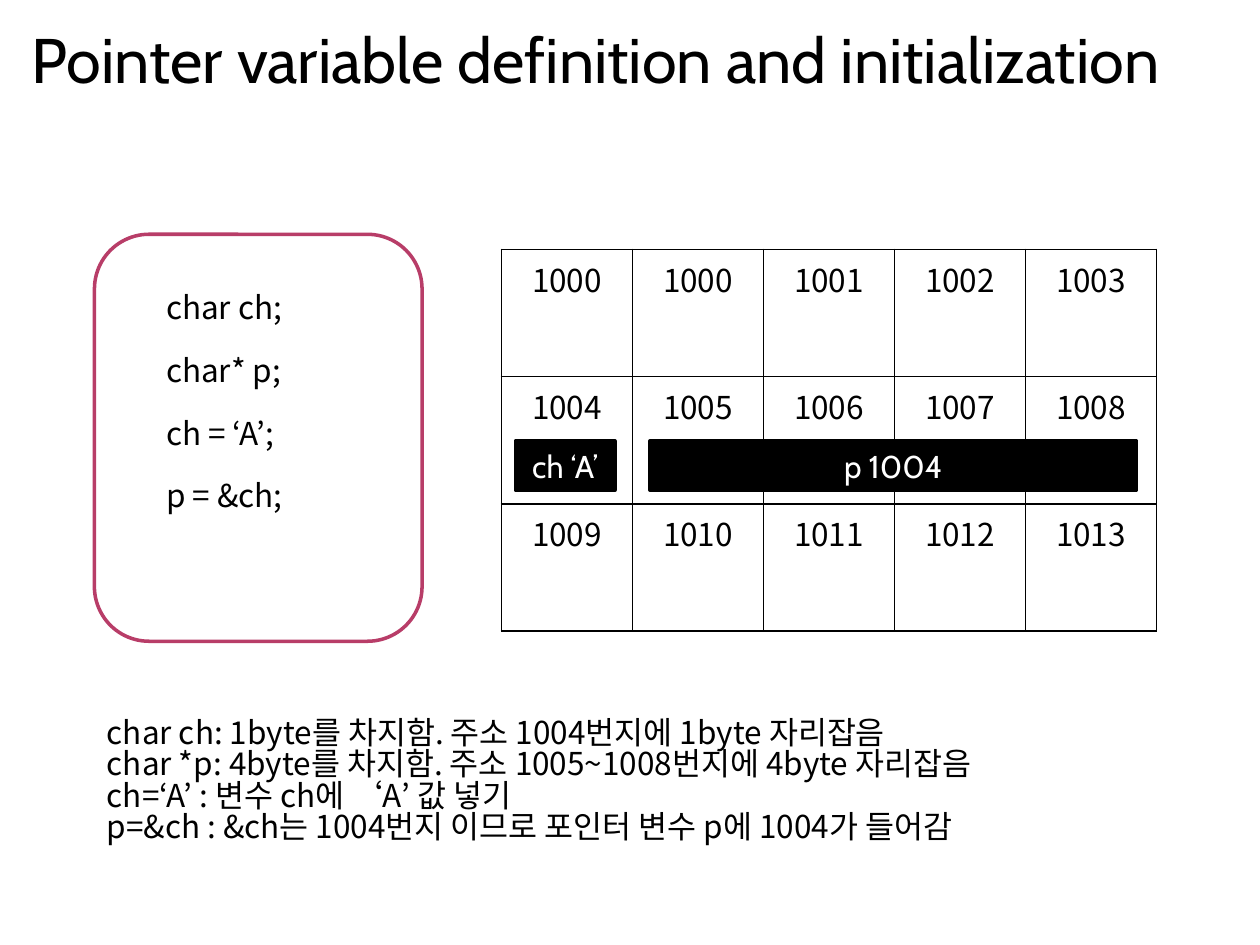
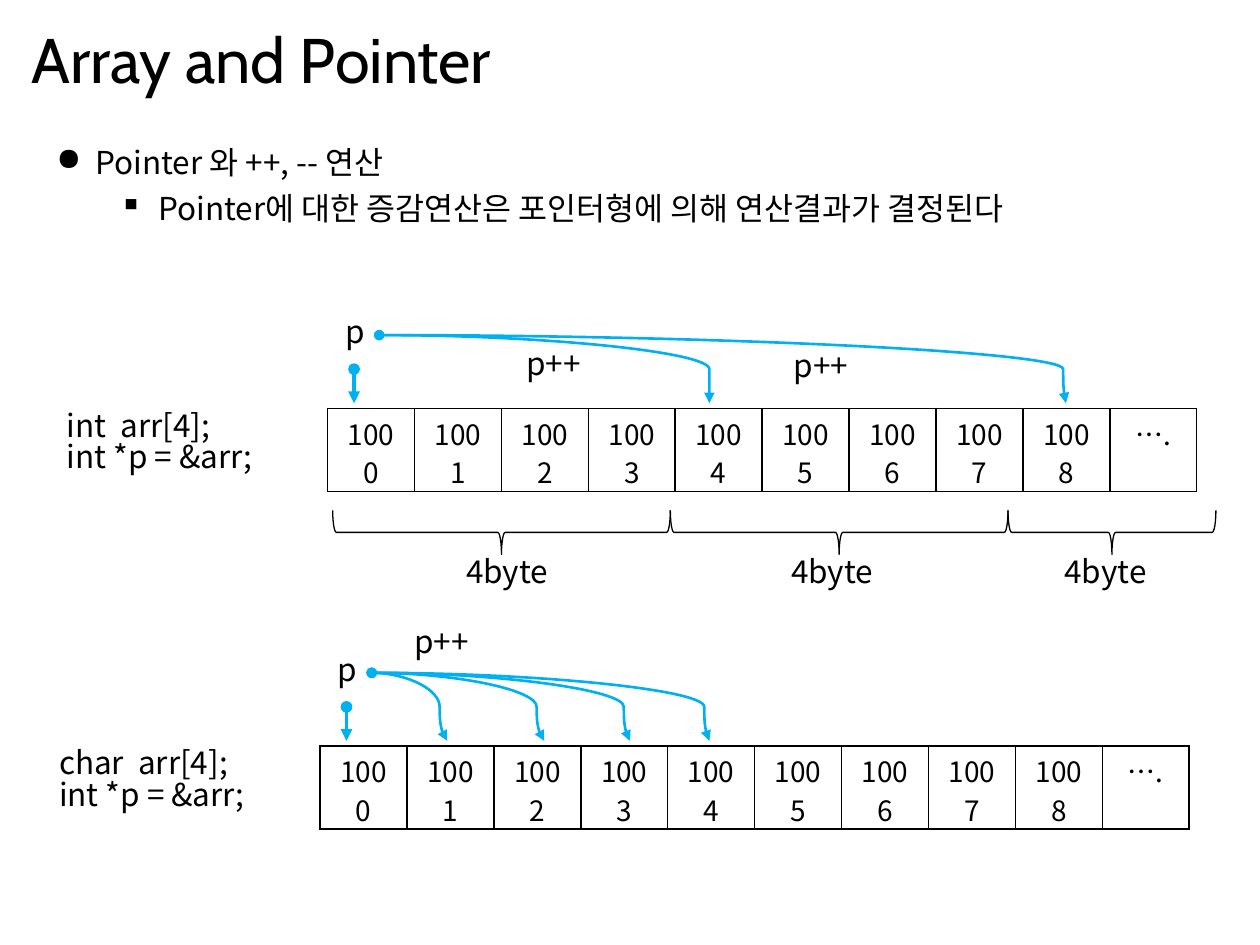
from dataclasses import dataclass

from lxml import etree
from pptx import Presentation
from pptx import util as u
from pptx.dml.color import RGBColor
from pptx.enum import shapes, text
from pptx.oxml.ns import qn


@dataclass(frozen=True)
class Theme:
    ink: RGBColor = RGBColor(0, 0, 0)
    paper: RGBColor = RGBColor(255, 255, 255)
    frame: RGBColor = RGBColor(0xB8, 0x3D, 0x68)
    pointer: RGBColor = RGBColor(0x00, 0xB0, 0xF0)
    title_font: str = "Cabin"
    body_font: str = "Noto Sans CJK KR"
    title_size: int = 36
    body_size: int = 18
    address_size: int = 16
    leading: float = 0.83


THEME = Theme()
TITLE_ONLY = 5
ARRAY_CELLS = 10
CELL_WIDTH = 0.69


def inches(*lengths):
    return [u.Inches(length) for length in lengths]


def format_runs(paragraph, size, font=THEME.body_font, color=THEME.ink):
    """Style the runs, with the same face for Latin and Korean letters."""
    for run in paragraph.runs:
        run.font.size = u.Pt(size)
        run.font.color.rgb = color
        run.font.name = font
        east_asian = etree.SubElement(run.font._element, qn("a:ea"))
        east_asian.set("typeface", font)


def add_titled_slide(prs, heading, width):
    slide = prs.slides.add_slide(prs.slide_layouts[TITLE_ONLY])
    title = slide.shapes.title
    title.left, title.top, title.width, title.height = inches(0.15, 0.12, width, 0.69)
    frame = title.text_frame
    frame.text = heading
    frame.vertical_anchor = text.MSO_ANCHOR.MIDDLE
    frame.paragraphs[0].alignment = text.PP_ALIGN.LEFT
    format_runs(frame.paragraphs[0], THEME.title_size, THEME.title_font)
    return slide


def add_text(slide, box, lines, spacing=1):
    frame = slide.shapes.add_textbox(*inches(*box)).text_frame
    frame.word_wrap = True
    frame.margin_top = u.Inches(0.07)
    frame.text = "\n".join(lines)
    for paragraph in frame.paragraphs:
        paragraph.line_spacing = round(spacing * THEME.leading, 2)
        format_runs(paragraph, THEME.body_size)
    return frame


def add_bullet(paragraph, symbol, indent, hanging=0.31):
    properties = paragraph._p.get_or_add_pPr()
    properties.set("marL", str(u.Inches(indent)))
    properties.set("indent", str(-u.Inches(hanging)))
    etree.SubElement(properties, qn("a:buChar")).set("char", symbol)


def add_outline(slide, preset, box, color, weight):
    shape = slide.shapes.add_shape(preset, *inches(*box))
    shape.shadow.inherit = False
    shape.fill.background()
    shape.line.color.rgb = color
    shape.line.width = u.Pt(weight)
    return shape


def add_variable(slide, box, caption):
    """Black bar that covers the bytes a variable takes up."""
    bar = add_outline(slide, shapes.MSO_SHAPE.RECTANGLE, box, THEME.ink, 2)
    bar.fill.solid()
    bar.fill.fore_color.rgb = THEME.ink
    frame = bar.text_frame
    frame.text = caption
    frame.vertical_anchor = text.MSO_ANCHOR.MIDDLE
    frame.paragraphs[0].alignment = text.PP_ALIGN.CENTER
    format_runs(frame.paragraphs[0], THEME.body_size, THEME.title_font, THEME.paper)


def add_cell_borders(cell):
    properties = cell._tc.get_or_add_tcPr()
    for side in ("lnL", "lnR", "lnT", "lnB"):
        border = etree.SubElement(properties, qn(f"a:{side}"), w=str(u.Pt(1)))
        fill = etree.SubElement(border, qn("a:solidFill"))
        etree.SubElement(fill, qn("a:srgbClr"), val=str(THEME.ink))


def add_memory(slide, left, top, rows, cell_width, cell_height, size, spacing=1):
    """Table with one memory address in each cell."""
    columns = len(rows[0])
    box = inches(left, top, cell_width * columns, cell_height * len(rows))
    memory = slide.shapes.add_table(len(rows), columns, *box).table
    memory.first_row = memory.horz_banding = False
    for column in memory.columns:
        column.width = u.Inches(cell_width)
    for row, addresses in zip(memory.rows, rows):
        row.height = u.Inches(cell_height)
        for cell, address in zip(row.cells, addresses):
            add_cell_borders(cell)
            cell.fill.background()
            cell.margin_bottom = 0
            cell.text = address
            paragraph = cell.text_frame.paragraphs[0]
            paragraph.alignment = text.PP_ALIGN.CENTER
            paragraph.line_spacing = spacing
            format_runs(paragraph, size)


def add_pointer(slide, start, end, weight, bend=None):
    """Arrow from a dot; bend is the share of the width where a curve turns down."""
    kind = shapes.MSO_CONNECTOR.STRAIGHT if bend is None else shapes.MSO_CONNECTOR.CURVE
    arrow = slide.shapes.add_connector(kind, *inches(*start, *end))
    arrow.line.color.rgb = THEME.pointer
    arrow.line.width = u.Pt(weight)
    properties = arrow._element.spPr
    line = properties.find(qn("a:ln"))
    etree.SubElement(line, qn("a:headEnd"), type="oval")
    etree.SubElement(line, qn("a:tailEnd"), type="triangle")
    etree.SubElement(properties, qn("a:effectLst"))
    if bend is not None:
        guides = properties.find(qn("a:prstGeom")).find(qn("a:avLst"))
        etree.SubElement(guides, qn("a:gd"), name="adj1", fmla=f"val {round(bend * 100000)}")


def add_brace(slide, left, top, span, depth=0.35):
    """Brace that opens upwards: a left brace turned by 270 degrees."""
    box = (left + (span - depth) / 2, top - (span - depth) / 2, depth, span)
    brace = add_outline(slide, shapes.MSO_SHAPE.LEFT_BRACE, box, THEME.ink, 0.75)
    brace.rotation = 270


def add_array(slide, left, top, declaration, steps):
    """Array row with its code, pointer p and one curve per (target, bend gap)."""
    add_text(slide, (left - 2.17, top - 0.04, 1.98, 0.71), [declaration, "int *p = &arr;"])
    addresses = [str(1000 + i) for i in range(ARRAY_CELLS - 1)] + ["…."]
    add_memory(slide, left, top, [addresses], CELL_WIDTH, 0.66, THEME.address_size, 0.95)
    add_text(slide, (left + 0.04, top - 0.78, 0.37, 0.4), ["p"])
    tip = top - 0.04
    add_pointer(slide, (left + 0.21, top - 0.31), (left + 0.21, tip), 2.25)
    source = left + 0.41
    for target, gap in steps:
        bend = 1 - gap / (left + target - source)
        add_pointer(slide, (source, top - 0.58), (left + target, tip), 1.5, bend)


def build_definition_slide(prs):
    slide = add_titled_slide(prs, "Pointer variable definition and initialization", 9.85)
    add_outline(slide, shapes.MSO_SHAPE.ROUNDED_RECTANGLE, (0.75, 1.86, 2.6, 3.23),
                THEME.frame, 2)
    code = ["char ch;", "char* p;", "ch = ‘A’;", "p = &ch;"]
    add_text(slide, (1.22, 2.02, 2.2, 2.52), code, spacing=2)

    # The first address shows twice, then the count goes on.
    numbers = [1000, *range(1000, 1014)]
    rows = [[str(n) for n in numbers[i:i + 5]] for i in range(0, len(numbers), 5)]
    add_memory(slide, 3.98, 1.98, rows, 1.04, 1.01, THEME.body_size)
    add_variable(slide, (4.09, 3.5, 0.79, 0.39), "ch ‘A’")
    add_variable(slide, (5.16, 3.5, 3.86, 0.39), "p 1004")

    add_text(slide, (0.75, 5.64, 7.8, 1.31), [
        "char ch: 1byte를 차지함. 주소 1004번지에 1byte 자리잡음",
        "char *p: 4byte를 차지함. 주소 1005~1008번지에 4byte 자리잡음",
        "ch=‘A’ : 변수 ch에 ‘A’ 값 넣기",
        "p=&ch : &ch는 1004번지 이므로 포인터 변수 p에 1004가 들어감",
    ])


def build_array_slide(prs):
    slide = add_titled_slide(prs, "Array and Pointer", 9)
    points = add_text(slide, (0.35, 0.99, 8.57, 1.01), [
        "Pointer 와 ++, -- 연산",
        "Pointer에 대한 증감연산은 포인터형에 의해 연산결과가 결정된다",
    ], spacing=1.5)
    topic, detail = points.paragraphs
    detail.level = 1
    add_bullet(topic, "●", 0.31)
    add_bullet(detail, "▪", 0.81)

    add_array(slide, 2.6, 3.24, "int  arr[4];", [(3.03, 0), (5.86, 0.02)])
    brace_left = 2.64
    for span, label_left in ((2.68, 3.6), (2.68, 6.18), (1.65, 8.35)):
        add_brace(slide, brace_left, 4.05, span)
        add_text(slide, (label_left, 4.36, 0.95, 0.4), ["4byte"])
        brace_left += span

    add_array(slide, 2.54, 5.92, "char  arr[4];",
              [(1.01, 0.06), (1.78, 0.06), (2.46, 0.05), (3.09, 0.04)])
    for left, top in ((4.08, 2.71), (6.2, 2.73), (3.19, 4.92)):
        add_text(slide, (left, top, 0.71, 0.4), ["p++"])


def main():
    prs = Presentation()
    prs.slide_width, prs.slide_height = inches(10, 7.5)
    build_definition_slide(prs)
    build_array_slide(prs)
    prs.save("out.pptx")


if __name__ == "__main__":
    main()
